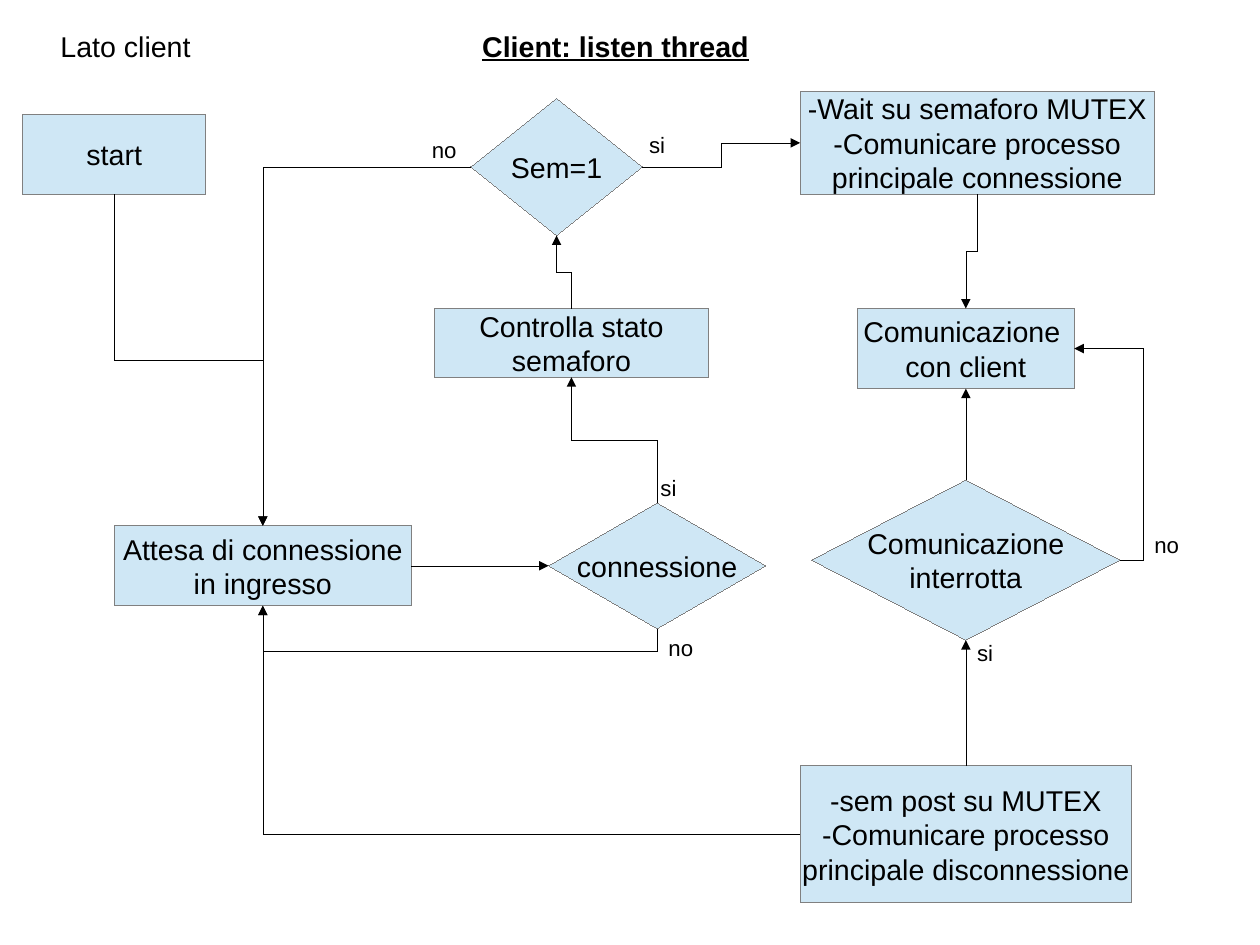
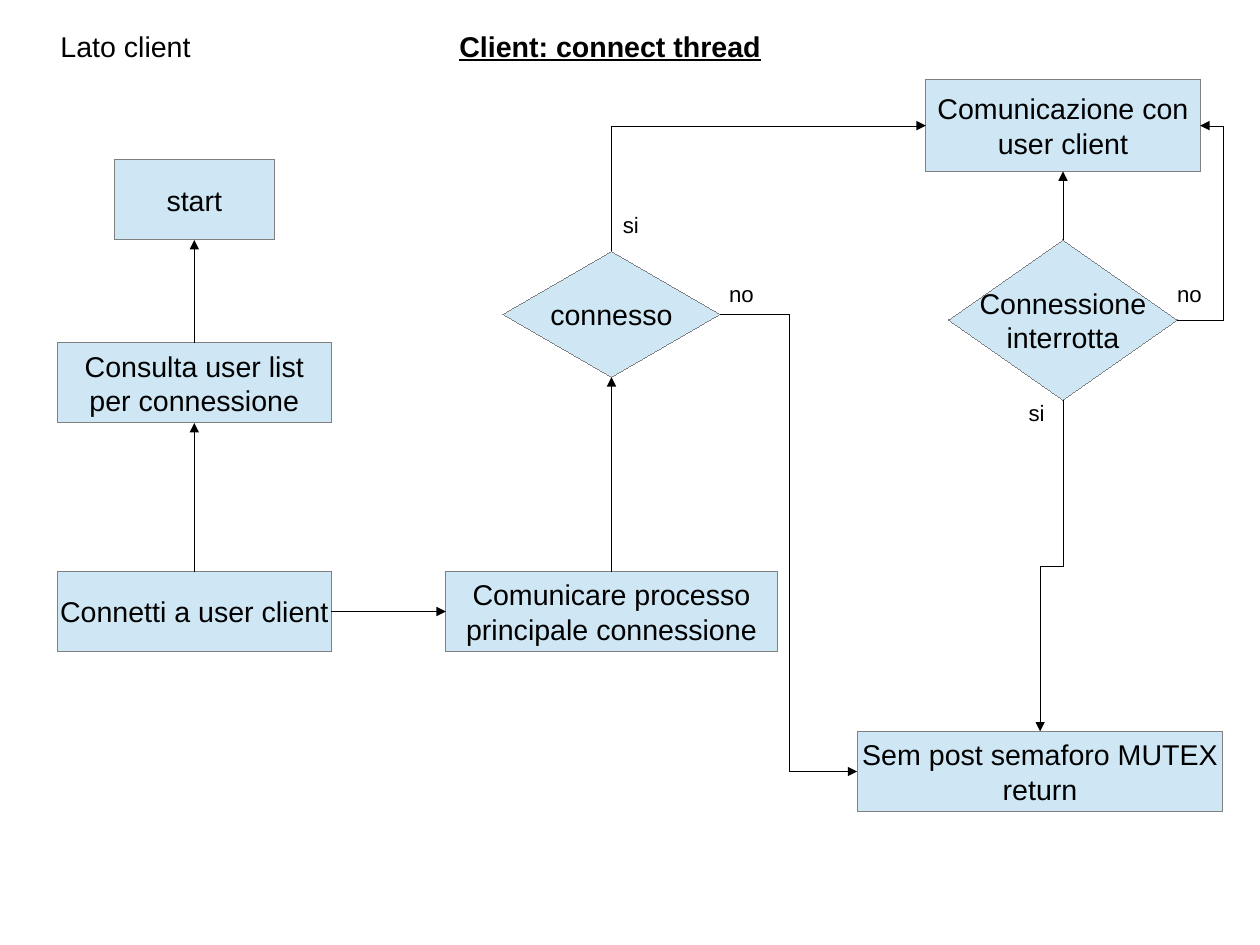
from dataclasses import dataclass
from typing import Optional

from lxml.etree import SubElement
from pptx import Presentation
from pptx.dml.color import RGBColor
from pptx.enum.shapes import MSO_CONNECTOR, MSO_SHAPE
from pptx.enum.text import MSO_ANCHOR, PP_ALIGN
from pptx.oxml.ns import qn
from pptx.util import Cm, Inches, Pt

CELL = 0.1
FONT = "Arial"
HUES = {"fill": "CFE7F5", "edge": "808080", "ink": "000000"}
TOP, LEFT, BASE, RIGHT = range(4)
RECT, GEM = MSO_SHAPE.RECTANGLE, MSO_SHAPE.DIAMOND


@dataclass(frozen=True)
class Node:
    key: str
    x: float
    y: float
    w: float
    h: float
    lines: tuple[str, ...]
    form: MSO_SHAPE = RECT

    def site(self, side: int) -> tuple[float, float]:
        mid_x, mid_y = self.x + self.w / 2, self.y + self.h / 2
        return ((mid_x, self.y), (self.x, mid_y),
                (mid_x, self.y + self.h), (self.x + self.w, mid_y))[side]


@dataclass(frozen=True)
class Link:
    src: str
    out: int
    dst: str
    into: int
    bend: Optional[float] = None


@dataclass(frozen=True)
class Label:
    text: str
    x: float
    y: float
    w: float = 6.2


@dataclass(frozen=True)
class Chart:
    title: Label
    nodes: tuple[Node, ...]
    links: tuple[Link, ...]
    labels: tuple[Label, ...]


CHARTS = (
    Chart(
        Label("Client: listen thread", 41.2, 2, 26.8),
        (
            Node("start", 2, 10, 16, 7, ("start",)),
            Node("wait", 10, 46, 26, 7, ("Attesa di connessione", "in ingresso")),
            Node("link", 48, 44, 19, 11, ("connessione",), GEM),
            Node("talk", 75, 27, 19, 7, ("Comunicazione ", "con client")),
            Node("stop", 71, 42, 27, 14, ("Comunicazione", "interrotta"), GEM),
            Node("post", 70, 67, 29, 12,
                 ("-sem post su MUTEX", "-Comunicare processo", "principale disconnessione")),
            Node("lock", 70, 8, 31, 9,
                 ("-Wait su semaforo MUTEX", "-Comunicare processo", "principale connessione")),
            Node("check", 38, 27, 24, 6, ("Controlla stato", "semaforo")),
            Node("sem", 41.2, 8.6, 15, 12, ("Sem=1",), GEM),
        ),
        (
            Link("start", BASE, "wait", TOP),
            Link("wait", RIGHT, "link", LEFT),
            Link("link", BASE, "wait", BASE, 57),
            Link("stop", TOP, "talk", BASE),
            Link("stop", RIGHT, "talk", RIGHT, 100),
            Link("lock", BASE, "talk", TOP),
            Link("post", TOP, "stop", BASE),
            Link("post", LEFT, "wait", BASE),
            Link("link", TOP, "check", BASE),
            Link("sem", RIGHT, "lock", LEFT),
            Link("check", TOP, "sem", BASE),
            Link("sem", LEFT, "wait", TOP),
        ),
        (
            Label("si", 56.8, 41), Label("no", 57.5, 55), Label("no", 100, 46),
            Label("si", 84.5, 55.4), Label("si", 55.8, 11), Label("no", 36.8, 11.4),
        ),
    ),
    Chart(
        Label("Client: connect thread", 39.2, 2, 31.8),
        (
            Node("start", 10, 14, 14, 7, ("start",)),
            Node("list", 5, 30, 24, 7, ("Consulta user list", "per connessione")),
            Node("join", 5, 50, 24, 7, ("Connetti a user client",)),
            Node("tell", 39, 50, 29, 7, ("Comunicare processo", "principale connessione")),
            Node("link", 44, 22, 19, 11, ("connesso",), GEM),
            Node("talk", 81, 7, 24, 8, ("Comunicazione con", "user client")),
            Node("post", 75, 64, 32, 7, ("Sem post semaforo MUTEX", "return")),
            Node("stop", 83, 21, 20, 14, ("Connessione", "interrotta"), GEM),
        ),
        (
            Link("list", TOP, "start", BASE),
            Link("join", TOP, "list", BASE),
            Link("join", RIGHT, "tell", LEFT),
            Link("tell", TOP, "link", BASE),
            Link("link", TOP, "talk", LEFT),
            Link("link", RIGHT, "post", LEFT),
            Link("stop", TOP, "talk", BASE),
            Link("stop", BASE, "post", TOP),
            Link("stop", RIGHT, "talk", RIGHT, 107),
        ),
        (
            Label("no", 62.8, 24, 4.2), Label("si", 53.5, 18),
            Label("si", 89, 34.4), Label("no", 102, 24),
        ),
    ),
)


def span(cells: float) -> int:
    return Inches(round(cells * CELL, 3))


def hue(name: str) -> RGBColor:
    return RGBColor.from_string(HUES[name])


def write(frame, lines: tuple[str, ...], size: float, align=PP_ALIGN.LEFT, head: bool = False) -> None:
    for rank, line in enumerate(lines):
        para = frame.add_paragraph() if rank else frame.paragraphs[0]
        para.alignment = align
        run = para.add_run()
        run.text = line
        font = run.font
        font.name, font.size = FONT, Pt(size)
        font.color.rgb = hue("ink")
        if head:
            font.bold = font.underline = True


def thin(shape, name: str):
    shape.line.color.rgb = hue(name)
    edge = shape._element.spPr.find(qn("a:ln"))
    edge.set("w", "0")
    return edge


def draw_label(slide, label: Label, size: float = 14, high: float = 3.6, head: bool = False) -> None:
    box = slide.shapes.add_textbox(*map(span, (label.x, label.y, label.w, high)))
    box.text_frame.word_wrap = True
    write(box.text_frame, (label.text,), size, head=head)


def draw_node(slide, node: Node):
    shape = slide.shapes.add_shape(node.form, *map(span, (node.x, node.y, node.w, node.h)))
    shape.shadow.inherit = False
    shape.fill.solid()
    shape.fill.fore_color.rgb = hue("fill")
    thin(shape, "edge")
    frame = shape.text_frame
    frame.word_wrap = False
    frame.vertical_anchor = MSO_ANCHOR.MIDDLE
    write(frame, node.lines, 18, PP_ALIGN.CENTER)
    return shape


def bend_line(line, link: Link, start: tuple[float, float], end: tuple[float, float]) -> None:
    axis = int(link.out in (TOP, BASE))
    gap = (end[0] - start[0], end[1] - start[1])
    wide, high = abs(gap[axis]), abs(gap[1 - axis])
    line.left = span((start[0] + end[0] - wide) / 2)
    line.top = span((start[1] + end[1] - high) / 2)
    line.width, line.height = span(wide), span(high)
    props = line._element.spPr
    form = props.find(qn("a:xfrm"))
    form.set("rot", str(axis * 5400000))
    form.set("flipH", str(int(gap[axis] < 0)))
    form.set("flipV", str(int(gap[0] > 0 if axis else gap[1] < 0)))
    shape = props.find(qn("a:prstGeom"))
    if link.out % 2 != link.into % 2:
        shape.set("prst", "bentConnector2")
        return
    share = 0.5 if link.bend is None else (link.bend - start[axis]) / gap[axis]
    guide = SubElement(shape.find(qn("a:avLst")), qn("a:gd"))
    guide.set("name", "adj1")
    guide.set("fmla", f"val {round(share * 100000)}")


def draw_link(slide, link: Link, nodes: dict, shapes: dict) -> None:
    start, end = nodes[link.src].site(link.out), nodes[link.dst].site(link.into)
    plain = any(abs(a - b) < 0.01 for a, b in zip(start, end))
    kind = MSO_CONNECTOR.STRAIGHT if plain else MSO_CONNECTOR.ELBOW
    line = slide.shapes.add_connector(kind, *map(span, (*start, *end)))
    line.begin_connect(shapes[link.src], link.out)
    line.end_connect(shapes[link.dst], link.into)
    if not plain:
        bend_line(line, link, start, end)
    SubElement(thin(line, "ink"), qn("a:tailEnd")).set("type", "triangle")
    SubElement(line._element.spPr, qn("a:effectLst"))


def draw_chart(deck, chart: Chart) -> None:
    slide = deck.slides.add_slide(deck.slide_layouts[6])
    draw_label(slide, Label("Lato client", 4.3, 2, 17.5), 18, 6.2)
    draw_label(slide, chart.title, 18, 6.6, True)
    nodes = {node.key: node for node in chart.nodes}
    shapes = {node.key: draw_node(slide, node) for node in chart.nodes}
    for link in chart.links:
        draw_link(slide, link, nodes, shapes)
    for label in chart.labels:
        draw_label(slide, label)


def main() -> None:
    deck = Presentation()
    deck.slide_width = Cm(28)
    deck.slide_height = Cm(21)
    for chart in CHARTS:
        draw_chart(deck, chart)
    deck.save("out.pptx")


if __name__ == "__main__":
    main()
